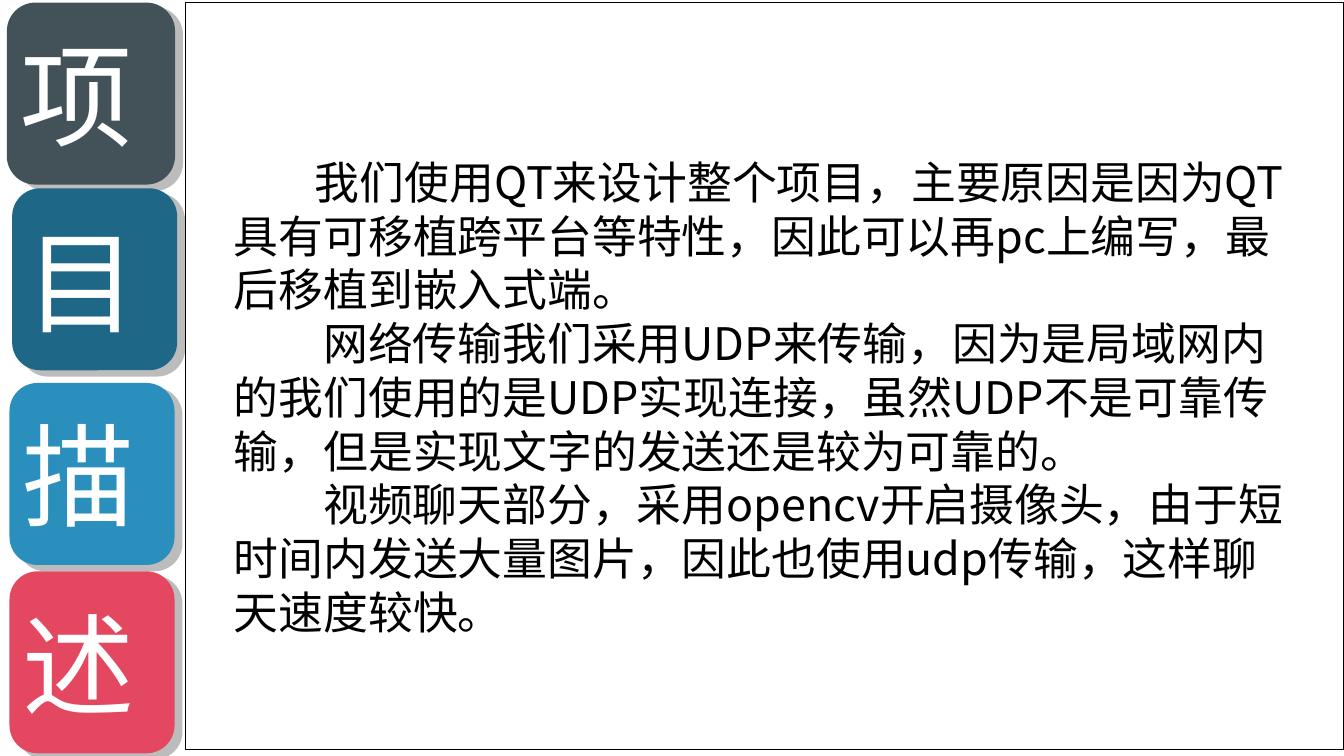
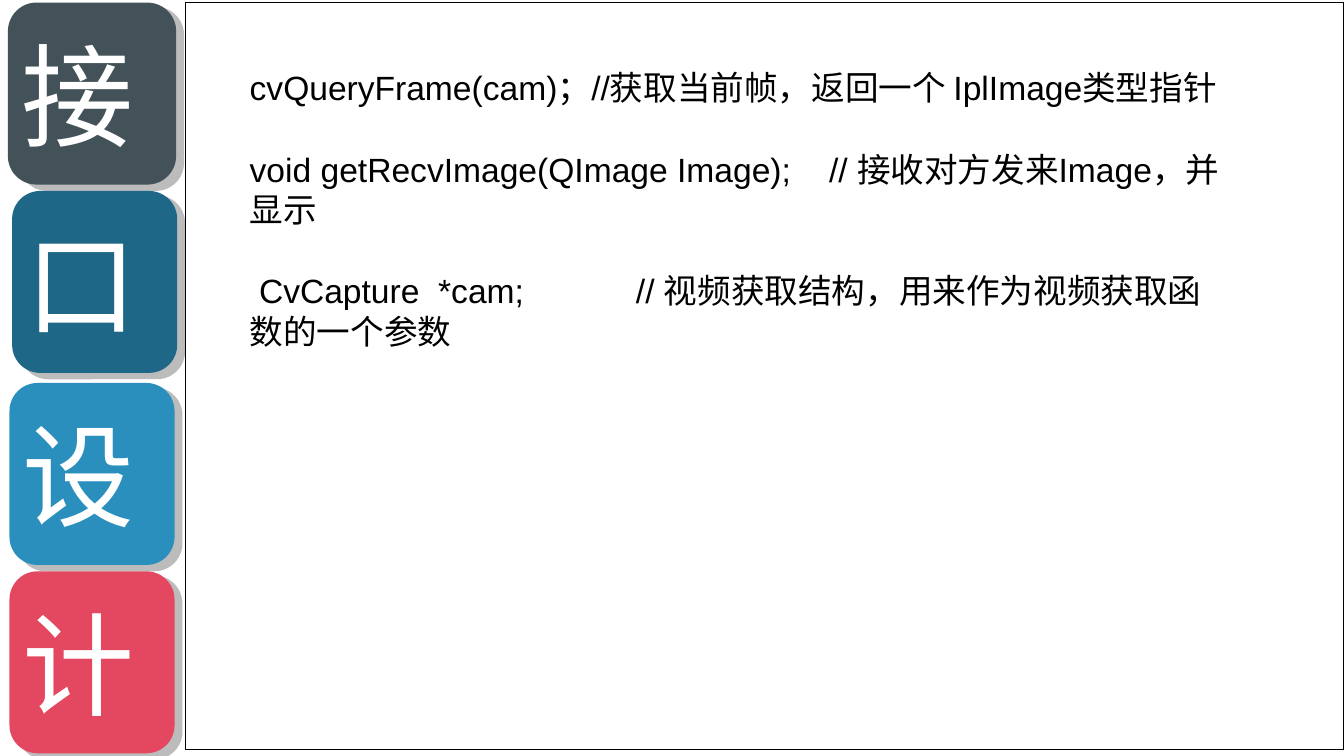
from lxml.etree import SubElement
from pptx import Presentation
from pptx.dml.color import RGBColor
from pptx.enum.shapes import MSO_SHAPE
from pptx.enum.text import MSO_ANCHOR, PP_ALIGN
from pptx.oxml.ns import qn
from pptx.util import Cm, Pt

CJK = "Noto Sans CJK SC"
TILE_COLORS = ["435258", "1E6787", "2A8FBD", "E44860"]
SHADOW = "BCBCBC"
TILE_W, TILE_H = 3.12, 3.44
SHADOW_DX, SHADOW_DY = 0.15, 0.08
CORNER = 0.17


def add_box(shapes, kind, x, y, w, h, fill, line=None):
    sp = shapes.add_shape(kind, Cm(x), Cm(y), Cm(w), Cm(h))
    sp.shadow.inherit = False
    sp.fill.solid()
    sp.fill.fore_color.rgb = RGBColor.from_string(fill)
    if line:
        sp.line.color.rgb = RGBColor.from_string(line)
        sp.line.width = Pt(0.75)
    else:
        sp.line.fill.background()
    if kind == MSO_SHAPE.ROUNDED_RECTANGLE:
        sp.adjustments[0] = CORNER
    return sp


def add_text(tf, text, size=18, color="000000", font=CJK, indent=0, tab=None, before=0):
    p = tf.paragraphs[0] if not tf.text else tf.add_paragraph()
    p.alignment = PP_ALIGN.LEFT
    pPr = p._p.get_or_add_pPr()
    if indent:
        pPr.set("indent", str(Cm(indent)))
    if before:
        p.space_before = Pt(before)
    if tab:
        tabs = SubElement(pPr, qn("a:tabLst"))
        SubElement(tabs, qn("a:tab"), pos=str(Cm(tab)), algn="l")
    r = p.add_run()
    r.text = text
    r.font.size = Pt(size)
    r.font.color.rgb = RGBColor.from_string(color)
    r.font.name = font
    SubElement(r._r.get_or_add_rPr(), qn("a:ea"), typeface=CJK)


description = [
    ("我们使用QT来设计整个项目，主要原因是因为QT具有可移植跨平台等特性，因此可以再pc上编写，最后移植到嵌入式端。",
     dict(size=24, indent=1.53)),
    ("网络传输我们采用UDP来传输，因为是局域网内的我们使用的是UDP实现连接，虽然UDP不是可靠传输，但是实现文字的发送还是较为可靠的。",
     dict(size=24, indent=1.69)),
    ("视频聊天部分，采用opencv开启摄像头，由于短时间内发送大量图片，因此也使用udp传输，这样聊天速度较快。",
     dict(size=24, indent=1.69)),
]
interfaces = [
    ("cvQueryFrame(cam)；//获取当前帧，返回一个 IplImage类型指针", dict(font="Arial")),
    ("void getRecvImage(QImage Image);\t// 接收对方发来Image，并显示",
     dict(font="Arial", tab=10.95, before=22)),
    (" CvCapture  *cam;\t// 视频获取结构，用来作为视频获取函数的一个参数",
     dict(font="Arial", tab=7.3, before=22)),
]
pages = [
    ("项目描述", [0.13, 0.23, 0.18, 0.18], [0.05, 3.56, 7.24, 10.8],
     (4.17, 2.03, 20.37, 10.16), 0.89, description),
    ("接口设计", [0.15, 0.23, 0.18, 0.18], [0.05, 3.61, 7.24, 10.8],
     (4.47, 1.14, 19.1, 12.9), 0.13, interfaces),
]

prs = Presentation()
prs.slide_width, prs.slide_height = Cm(25.4), Cm(14.29)

for title, lefts, tops, body, margin_top, paragraphs in pages:
    s = prs.slides.add_slide(prs.slide_layouts[6])

    for i, (char, x, y, color) in enumerate(zip(title, lefts, tops, TILE_COLORS)):
        w = TILE_W + (0.06 if i == 0 else 0)
        tile = s.shapes.add_group_shape().shapes
        add_box(tile, MSO_SHAPE.ROUNDED_RECTANGLE, x + w - TILE_W + SHADOW_DX,
                y + SHADOW_DY, TILE_W, TILE_H + 0.04, SHADOW)
        sp = add_box(tile, MSO_SHAPE.ROUNDED_RECTANGLE, x, y, w, TILE_H, color)
        tf = sp.text_frame
        tf.vertical_anchor = MSO_ANCHOR.MIDDLE
        tf.margin_left = Cm(0.1)
        tf.margin_right = tf.margin_top = tf.margin_bottom = 0
        add_text(tf, char, size=60, color="FFFFFF")

    add_box(s.shapes, MSO_SHAPE.RECTANGLE, 3.51, 0.05, 21.89, 14.12, "FFFFFF", "000000")

    tf = s.shapes.add_textbox(*map(Cm, body)).text_frame
    tf.word_wrap = True
    tf.margin_top = Cm(margin_top)
    for text, style in paragraphs:
        add_text(tf, text, **style)

prs.save("out.pptx")
